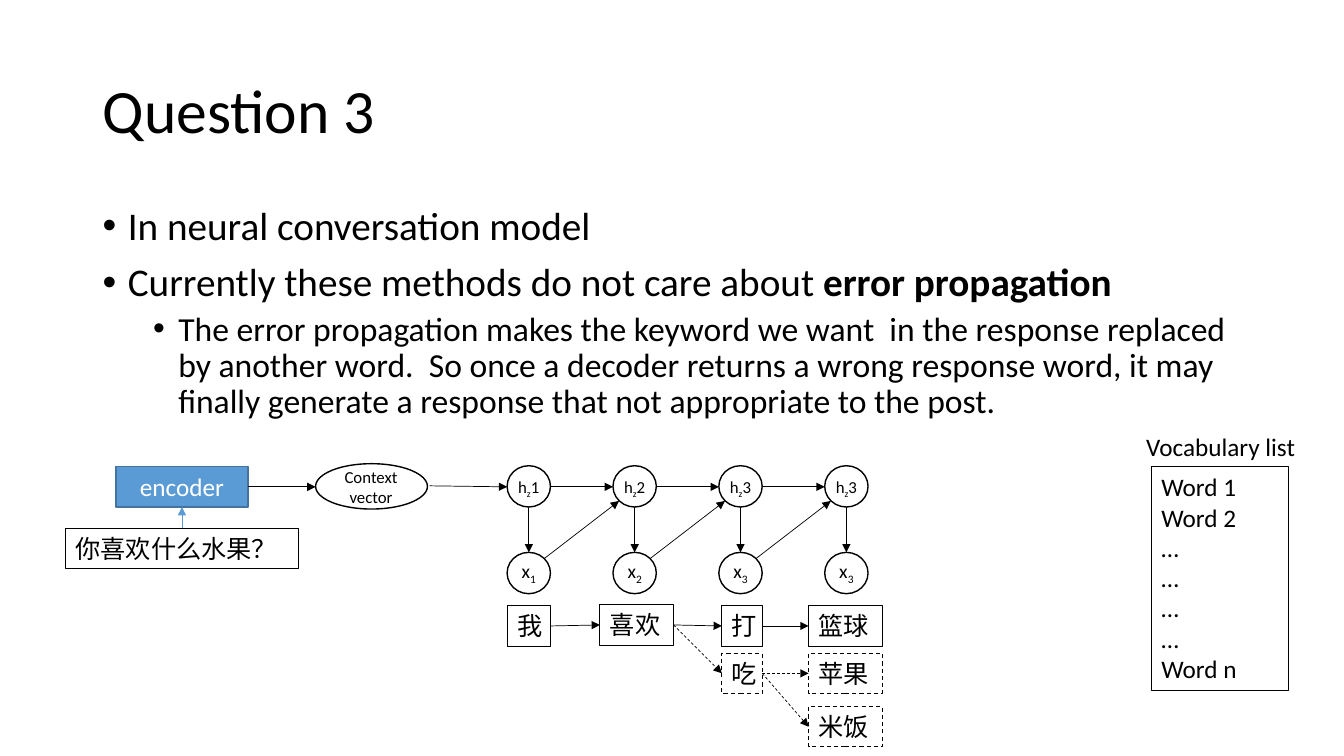
from dataclasses import dataclass
from typing import Optional

from lxml import etree
from pptx import Presentation
from pptx import util as u
from pptx.dml.color import RGBColor
from pptx.enum import dml, shapes, text
from pptx.oxml import ns

COLORS = {"ink": "000000", "paper": "FFFFFF", "blue": "5B9BD5", "edge": "43739E"}
FONT = "Calibri"
CENTER, LEFT = text.PP_ALIGN.CENTER, text.PP_ALIGN.LEFT
TOP, MIDDLE = text.MSO_ANCHOR.TOP, text.MSO_ANCHOR.MIDDLE
RECT, OVAL = shapes.MSO_SHAPE.RECTANGLE, shapes.MSO_SHAPE.OVAL


@dataclass(frozen=True)
class Run:
    words: str
    bold: bool = False
    subscript: bool = False


@dataclass(frozen=True)
class Bullet:
    runs: tuple[Run, ...]
    size: float
    indent: float
    before: float


@dataclass(frozen=True)
class Token:
    word: str
    left: float
    top: float
    width: float
    dashed: bool = False


@dataclass(frozen=True)
class Arrow:
    start: tuple[float, float]
    end: tuple[float, float]
    color: str = "ink"
    dashed: bool = False


BULLETS = (
    Bullet((Run("In neural conversation model"),), 28, 0.25, 10),
    Bullet((Run("Currently these methods do not care about "),
            Run("error propagation", bold=True)), 28, 0.25, 10),
    Bullet((Run("The error propagation makes the keyword we want  in the response replaced "
                "by another word.  So once a decoder returns a wrong response word, it may "
                "finally generate a response that not appropriate to the post."),), 24, 0.75, 5),
)
VOCABULARY = ("Word 1", "Word 2", "…", "…", "…", "…", "Word n")

STEPS = ("1", "2", "3", "3")
STEP_LEFT, STEP_GAP = 5.03, 1.05
NODE_W, NODE_H = 0.43, 0.41
HIDDEN_TOP, INPUT_TOP = 4.62, 5.48
ROW_H = 0.4

TOKENS = (
    Token("我", 5.03, 6.01, 0.43),
    Token("喜欢", 5.95, 6.0, 0.73),
    Token("打", 7.16, 6.01, 0.4),
    Token("篮球", 8.02, 6.01, 0.73),
    Token("吃", 7.16, 6.48, 0.4, True),
    Token("苹果", 8.02, 6.48, 0.73, True),
    Token("米饭", 8.02, 7.01, 0.73, True),
)
TOKEN_LINKS = (("我", "喜欢"), ("喜欢", "打"), ("打", "篮球"),
               ("喜欢", "吃"), ("吃", "苹果"), ("吃", "米饭"))


def rgb(name: str) -> RGBColor:
    return RGBColor.from_string(COLORS[name])


def add_run(paragraph, run: Run, size: float, color: str = "ink") -> None:
    piece = paragraph.add_run()
    piece.text = run.words
    piece.font.name, piece.font.size, piece.font.bold = FONT, u.Pt(size), run.bold
    piece.font.color.rgb = rgb(color)
    if run.subscript:
        piece.font._element.set("baseline", "-25000")


def write(shape, lines, size: float, align=LEFT, anchor=TOP, color: str = "ink"):
    """Fill a shape with lines, each of them a tuple of runs."""
    frame = shape.text_frame
    frame.word_wrap, frame.vertical_anchor = True, anchor
    for number, runs in enumerate(lines):
        paragraph = frame.add_paragraph() if number else frame.paragraphs[0]
        paragraph.alignment = align
        for run in runs:
            add_run(paragraph, run, size, color)
    return frame


def add_label(slide, left: float, top: float, width: float, height: float,
              runs: tuple[Run, ...], size: float, align=LEFT, anchor=TOP):
    box = slide.shapes.add_textbox(*map(u.Inches, (left, top, width, height)))
    return write(box, (runs,), size, align, anchor)


def add_outline(slide, kind, left: float, top: float, width: float, height: float,
                weight: float, line: str = "ink", fill: Optional[str] = None,
                dashed: bool = False):
    shape = slide.shapes.add_shape(kind, *map(u.Inches, (left, top, width, height)))
    shape.shadow.inherit = False
    if fill:
        shape.fill.solid()
        shape.fill.fore_color.rgb = rgb(fill)
    else:
        shape.fill.background()
    shape.line.color.rgb, shape.line.width = rgb(line), u.Pt(weight)
    if dashed:
        shape.line.dash_style = dml.MSO_LINE.DASH
    return shape


def add_arrow(slide, arrow: Arrow):
    connector = slide.shapes.add_connector(
        shapes.MSO_CONNECTOR.STRAIGHT, *map(u.Inches, arrow.start + arrow.end))
    connector.line.color.rgb, connector.line.width = rgb(arrow.color), u.Pt(0.5)
    if arrow.dashed:
        connector.line.dash_style = dml.MSO_LINE.DASH
    etree.SubElement(connector.line._get_or_add_ln(), ns.qn("a:tailEnd"), type="triangle")
    etree.SubElement(connector._element.spPr, ns.qn("a:effectLst"))
    return connector


def add_bullets(slide) -> None:
    box = slide.shapes.add_textbox(*map(u.Inches, (0.92, 2, 11.5, 2.3)))
    frame = box.text_frame
    frame.word_wrap = True
    for number, bullet in enumerate(BULLETS):
        paragraph = frame.add_paragraph() if number else frame.paragraphs[0]
        paragraph.line_spacing, paragraph.space_before = 0.9, u.Pt(bullet.before)
        props = paragraph._p.get_or_add_pPr()
        props.set("marL", str(u.Inches(bullet.indent)))
        props.set("indent", str(u.Inches(-0.25)))
        etree.SubElement(props, ns.qn("a:buFont"), typeface="Arial")
        etree.SubElement(props, ns.qn("a:buChar"), char="•")
        for run in bullet.runs:
            add_run(paragraph, run, bullet.size)


def add_encoder(slide) -> None:
    context = (3.13, 4.6, 1.11, 0.45)
    add_outline(slide, OVAL, *context, weight=1)
    add_label(slide, 3.29, 4.58, 0.78, 0.5, (Run("Context vector"),), 12, CENTER)
    encoder = add_outline(slide, RECT, 1.15, 4.63, 1.31, ROW_H, 1, "edge", "blue")
    write(encoder, ((Run("encoder"),),), 18, CENTER, MIDDLE, "paper")
    post = add_outline(slide, RECT, 0.65, 5.24, 2.31, ROW_H, 0.75)
    write(post, ((Run("你喜欢什么水果？"),),), 18)
    add_arrow(slide, Arrow((2.46, 4.83), (3.13, 4.83))).begin_connect(encoder, 3)
    feed = add_arrow(slide, Arrow((1.8, 5.24), (1.8, 5.03), "blue"))
    feed.begin_connect(post, 0)
    feed.end_connect(encoder, 2)
    add_arrow(slide, Arrow((4.26, 4.82), (STEP_LEFT, 4.83)))


def add_decoder(slide) -> None:
    for index, step in enumerate(STEPS):
        left = STEP_LEFT + index * STEP_GAP
        right, middle = left + NODE_W, left + NODE_W / 2
        for top in (HIDDEN_TOP, INPUT_TOP):
            add_outline(slide, OVAL, left, top, NODE_W, NODE_H, 1)
        add_label(slide, left, HIDDEN_TOP + 0.06, NODE_W, 0.3,
                  (Run("h"), Run("z", subscript=True), Run(step)), 12, CENTER)
        add_label(slide, left, INPUT_TOP + 0.02, NODE_W, 0.34,
                  (Run("x"), Run(step, subscript=True)), 14, CENTER)
        add_arrow(slide, Arrow((middle, HIDDEN_TOP + NODE_H), (middle, INPUT_TOP)))
        if index < len(STEPS) - 1:
            following = left + STEP_GAP
            add_arrow(slide, Arrow((right, 4.83), (following, 4.83)))
            add_arrow(slide, Arrow((right - 0.06, 5.54), (following + 0.06, 4.97)))


def add_response(slide) -> None:
    boxes = {}
    for token in TOKENS:
        box = add_outline(slide, RECT, token.left, token.top, token.width, ROW_H,
                          0.75, dashed=token.dashed)
        write(box, ((Run(token.word),),), 18)
        boxes[token.word] = (token, box)
    for source, target in TOKEN_LINKS:
        (before, source_box), (after, target_box) = boxes[source], boxes[target]
        link = add_arrow(slide, Arrow((before.left + before.width, before.top + ROW_H / 2),
                                      (after.left, after.top + ROW_H / 2),
                                      dashed=after.dashed))
        link.begin_connect(source_box, 3)
        link.end_connect(target_box, 1)


def main() -> None:
    deck = Presentation()
    deck.slide_width, deck.slide_height = u.Inches(13.33), u.Inches(7.5)
    slide = deck.slides.add_slide(deck.slide_layouts[6])
    title = add_label(slide, 0.92, 0.4, 11.5, 1.45, (Run("Question 3"),), 44, anchor=MIDDLE)
    title.paragraphs[0].line_spacing = 0.9
    add_bullets(slide)
    add_encoder(slide)
    add_decoder(slide)
    vocabulary = add_outline(slide, RECT, 11.42, 4.63, 1.36, 2.22, 0.75)
    write(vocabulary, [(Run(entry),) for entry in VOCABULARY], 18)
    add_label(slide, 11.27, 4.23, 1.76, ROW_H, (Run("Vocabulary list"),), 18)
    add_response(slide)
    deck.save("out.pptx")


if __name__ == "__main__":
    main()
